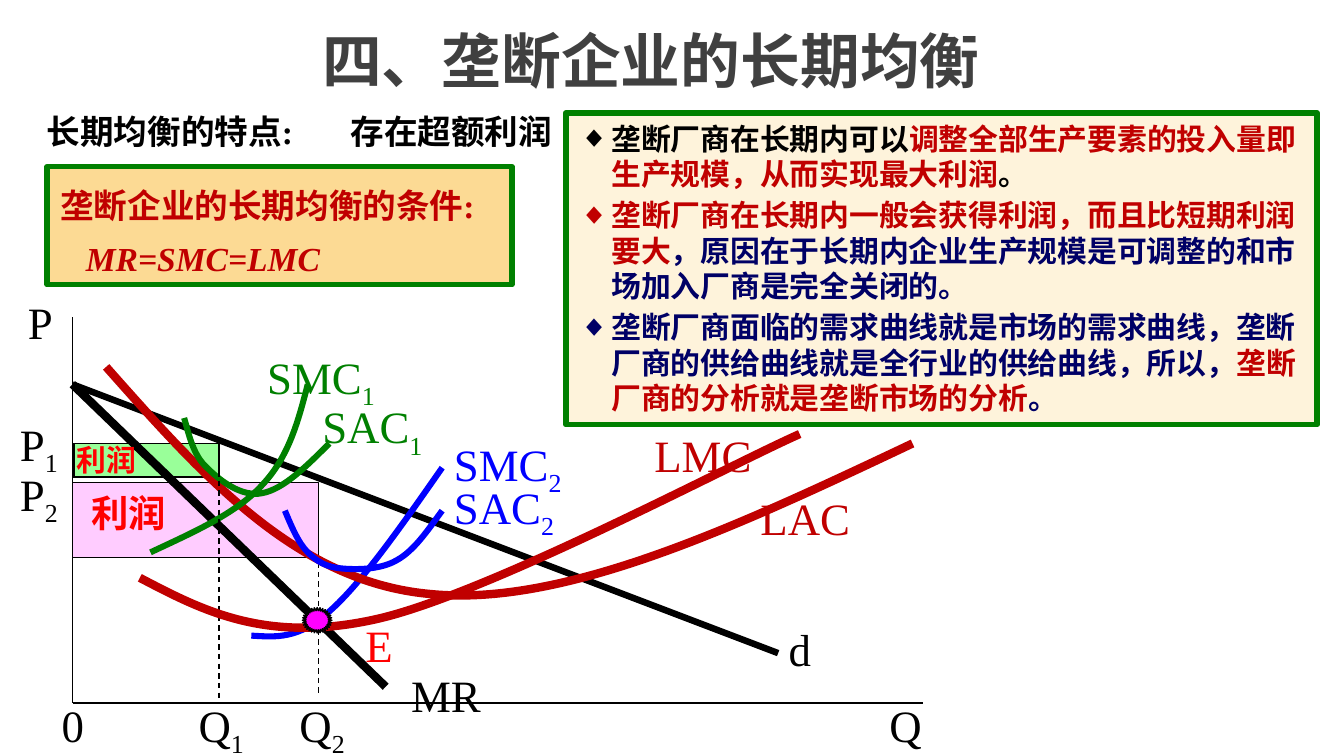
import pptx
import pptx.util
import pptx.dml.color
import pptx.enum.dml
import pptx.enum.shapes
import pptx.enum.text
import pptx.oxml.ns
import lxml.etree

EMU_PER_PX = 9144
SERIF = "Times New Roman"
SANS = "Noto Sans CJK SC"
COLORS = {
    "black": "000000", "grey": "404040", "crimson": "C00000", "red": "FF0000",
    "green": "008000", "blue": "0000FF", "navy": "000066", "mint": "99FF99",
    "pink": "FFCCFF", "magenta": "FF00FF", "orange": "FCDA94", "cream": "FEF3DB",
}


def px(value):
    return pptx.util.Emu(value * EMU_PER_PX)


def rgb(name):
    return pptx.dml.color.RGBColor.from_string(COLORS[name])


def child(parent, tag, **attributes):
    return lxml.etree.SubElement(parent, pptx.oxml.ns.qn(tag), attributes)


def apply(target, values):
    for name, value in values.items():
        setattr(target, name, value)


class SlideBuilder:
    def __init__(self, slide):
        self.slide = slide
        self.shapes = slide.shapes

    def frame(self, shape, wrap=True, top=5, anchor="TOP"):
        apply(shape.text_frame, {
            "margin_left": px(10), "margin_right": px(10),
            "margin_top": px(top), "margin_bottom": px(5),
            "word_wrap": wrap,
            "auto_size": pptx.enum.text.MSO_AUTO_SIZE.NONE,
            "vertical_anchor": getattr(pptx.enum.text.MSO_ANCHOR, anchor),
        })
        return shape.text_frame

    def run(self, paragraph, text, color, size, font=SERIF, bold=False, italic=False, subscript=False):
        run = paragraph.add_run()
        run.text = text
        apply(run.font, {"size": pptx.util.Pt(size), "bold": bold, "italic": italic, "name": font})
        run.font.color.rgb = rgb(color)
        properties = run._r.get_or_add_rPr()
        child(properties, "a:ea", typeface=SANS)
        if subscript:
            properties.set("baseline", "-25000")

    def outline(self, shape, color, width):
        shape.line.color.rgb = rgb(color)
        shape.line.width = pptx.util.Pt(width)

    def title(self, box, text):
        shape = self.shapes.title
        apply(shape, dict(zip(("left", "top", "width", "height"), map(px, box))))
        paragraph = self.frame(shape, anchor="MIDDLE").paragraphs[0]
        paragraph.alignment = pptx.enum.text.PP_ALIGN.CENTER
        self.run(paragraph, text, "grey", 32, SANS, bold=True)

    def line(self, start, end, width=0.75, dashed=False):
        connector = self.shapes.add_connector(
            pptx.enum.shapes.MSO_CONNECTOR.STRAIGHT, *map(px, start + end))
        self.outline(connector, "black", width)
        if dashed:
            connector.line.dash_style = pptx.enum.dml.MSO_LINE.DASH
        child(connector._element.spPr, "a:effectLst")

    def curve(self, points, color, width=3.25):
        builder = self.shapes.build_freeform(*points[0], scale=EMU_PER_PX)
        builder.add_line_segments(points[1:], close=False)
        shape = builder.convert_to_shape()
        shape.shadow.inherit = False
        shape.fill.background()
        self.outline(shape, color, width)
        path = shape._element.find(".//" + pptx.oxml.ns.qn("a:path"))
        segments = path.findall(pptx.oxml.ns.qn("a:lnTo"))
        for first in range(0, len(segments), 3):
            bezier = child(path, "a:cubicBezTo")
            for segment in segments[first:first + 3]:
                bezier.append(segment[0])
                path.remove(segment)

    def shape(self, kind, box, fill, color="black", width=0.75):
        shape = self.shapes.add_shape(kind, *map(px, box))
        shape.shadow.inherit = False
        shape.fill.solid()
        shape.fill.fore_color.rgb = rgb(fill)
        self.outline(shape, color, width)
        return shape

    def label(self, box, text, color="black", index=""):
        frame = self.frame(self.shapes.add_textbox(*map(px, box)), wrap=False)
        self.run(frame.paragraphs[0], text, color, 24)
        if index:
            self.run(frame.paragraphs[0], index, color, 24, subscript=True)

    def heading(self, box, text, color, size, spacing, tab=None):
        shape = self.shapes.add_textbox(*map(px, box))
        paragraph = self.frame(shape).paragraphs[0]
        paragraph.line_spacing = pptx.util.Pt(spacing)
        if tab:
            tabs = child(paragraph._p.get_or_add_pPr(), "a:tabLst")
            child(tabs, "a:tab", pos=str(px(tab)), algn="l")
        self.run(paragraph, text, color, size, bold=True)

    def condition(self, shape, caption, formula):
        frame = self.frame(shape)
        for paragraph, text, italic, indent in (
            (frame.paragraphs[0], caption, False, 0),
            (frame.add_paragraph(), formula, True, 19),
        ):
            paragraph.alignment = pptx.enum.text.PP_ALIGN.LEFT
            paragraph.line_spacing = pptx.util.Pt(28)
            paragraph._p.get_or_add_pPr().set("marL", str(px(indent)))
            self.run(paragraph, text, "crimson", 18, bold=True, italic=italic)

    def bullets(self, shape, items):
        frame = self.frame(shape, top=6)
        for number, runs in enumerate(items):
            paragraph = frame.add_paragraph() if number else frame.paragraphs[0]
            paragraph.alignment = pptx.enum.text.PP_ALIGN.LEFT
            paragraph.line_spacing = pptx.util.Pt(19)
            if number:
                paragraph.space_before = pptx.util.Pt(3)
            properties = paragraph._p.get_or_add_pPr()
            properties.set("marL", str(px(24)))
            properties.set("indent", str(px(-24)))
            child(child(properties, "a:buClr"), "a:srgbClr", val=COLORS[runs[0][1]])
            child(properties, "a:buSzPct", val="100000")
            child(properties, "a:buFont", typeface=SERIF)
            child(properties, "a:buChar", char="◆")
            for text, color in runs:
                self.run(paragraph, text, color, 16, SANS, bold=True)


def main():
    presentation = pptx.Presentation()
    presentation.slide_width = px(1000)
    presentation.slide_height = presentation.slide_width * 9 // 16
    builder = SlideBuilder(presentation.slides.add_slide(presentation.slide_layouts[5]))
    rectangle = pptx.enum.shapes.MSO_SHAPE.RECTANGLE
    star = pptx.enum.shapes.MSO_SHAPE.STAR_32_POINT

    builder.title((67, 12, 835, 64), "四、垄断企业的长期均衡")

    builder.line((54, 523), (687, 523))
    builder.line((54, 236), (54, 523))
    builder.line((54, 286), (579, 486), 3.5)
    for level in (330, 355):
        builder.line((154, level), (54, level))
    smc2 = [(187, 473), (205, 474), (222, 476), (245, 455), (269, 434), (299, 391), (329, 348)]
    builder.curve(smc2, "blue")
    builder.line((237, 361), (237, 517), dashed=True)
    builder.line((62, 361), (237, 361))
    builder.line((237, 415), (54, 415))
    builder.shape(rectangle, (55, 330, 108, 25), "mint")
    builder.shape(rectangle, (54, 359, 183, 56), "pink")
    lac = [(79, 273), (150, 353), (220, 433), (320, 442), (420, 452), (550, 391), (679, 330)]
    builder.curve(lac, "crimson", 4.5)
    builder.line((54, 286), (287, 511), 4.5)
    sac1 = [(137, 311), (141, 325), (144, 339), (154, 348), (164, 358), (180, 370), (195, 367),
            (211, 364), (228, 347), (245, 330)]
    smc1 = [(112, 411), (144, 396), (176, 382), (195, 361), (215, 340), (222, 313), (229, 286)]
    sac2 = [(212, 380), (217, 392), (222, 404), (229, 411), (236, 418), (243, 422), (254, 423),
            (265, 424), (283, 424), (295, 417), (308, 410), (318, 395), (329, 380)]
    for points, color in ((sac1, "green"), (smc1, "green"), (sac2, "blue")):
        builder.curve(points, color)
    builder.line((163, 329), (163, 522), dashed=True)

    for box, *content in (
        ((11, 214, 38, 50), "P"),
        ((5, 305, 48, 56), "P", "black", "1"),
        ((5, 342, 48, 56), "P", "black", "2"),
        ((189, 255, 100, 56), "SMC", "green", "1"),
        ((230, 292, 94, 56), "SAC", "green", "1"),
        ((328, 320, 100, 56), "SMC", "blue", "2"),
        ((328, 352, 94, 56), "SAC", "blue", "2"),
        ((477, 313, 92, 50), "LMC", "crimson"),
        ((556, 360, 86, 50), "LAC", "crimson"),
        ((577, 458, 36, 50), "d"),
        ((296, 492, 72, 50), "MR"),
        ((36, 514, 36, 50), "0"),
        ((138, 514, 54, 56), "Q", "black", "1"),
        ((213, 514, 54, 56), "Q", "black", "2"),
        ((652, 514, 44, 50), "Q"),
        ((262, 455, 43, 50), "E", "red"),
    ):
        builder.label(box, *content)

    lmc = [(104, 430), (150, 454), (197, 479), (279, 461), (361, 443), (543, 346), (595, 323)]
    builder.curve(lmc, "crimson", 4.5)
    builder.shape(star, (225, 452, 22, 19), "magenta")
    builder.heading((58, 360, 83, 44), "利润", "red", 20, 24)
    builder.heading((47, 324, 83, 37), "利润", "red", 16, 19)

    condition_box = builder.shape(rectangle, (35, 124, 346, 88), "orange", "green", 2.75)
    builder.condition(condition_box, "垄断企业的长期均衡的条件:", "MR=SMC=LMC")
    builder.heading((25, 69, 396, 49), "长期均衡的特点:\t存在超额利润", "black", 18, 28, tab=226)

    notes_box = builder.shape(rectangle, (421, 84, 559, 232), "cream", "green", 3)
    builder.bullets(notes_box, (
        (("垄断厂商在长期内可以", "black"),
         ("调整全部生产要素的投入量即生产规模，从而实现最大利润", "crimson"),
         ("。", "black")),
        (("垄断厂商在长期内一般会获得利润，而且比短期利润要大", "crimson"),
         ("，原因在于长期内企业生产规模是可调整的和市场加入厂商是完全关闭的。", "navy")),
        (("垄断厂商面临的需求曲线就是市场的需求曲线，垄断厂商的供给曲线就是全行业的供给曲线，所以，", "navy"),
         ("垄断厂商的分析就是垄断市场的分析", "crimson"),
         ("。", "navy")),
    ))

    presentation.save("out.pptx")


if __name__ == "__main__":
    main()
